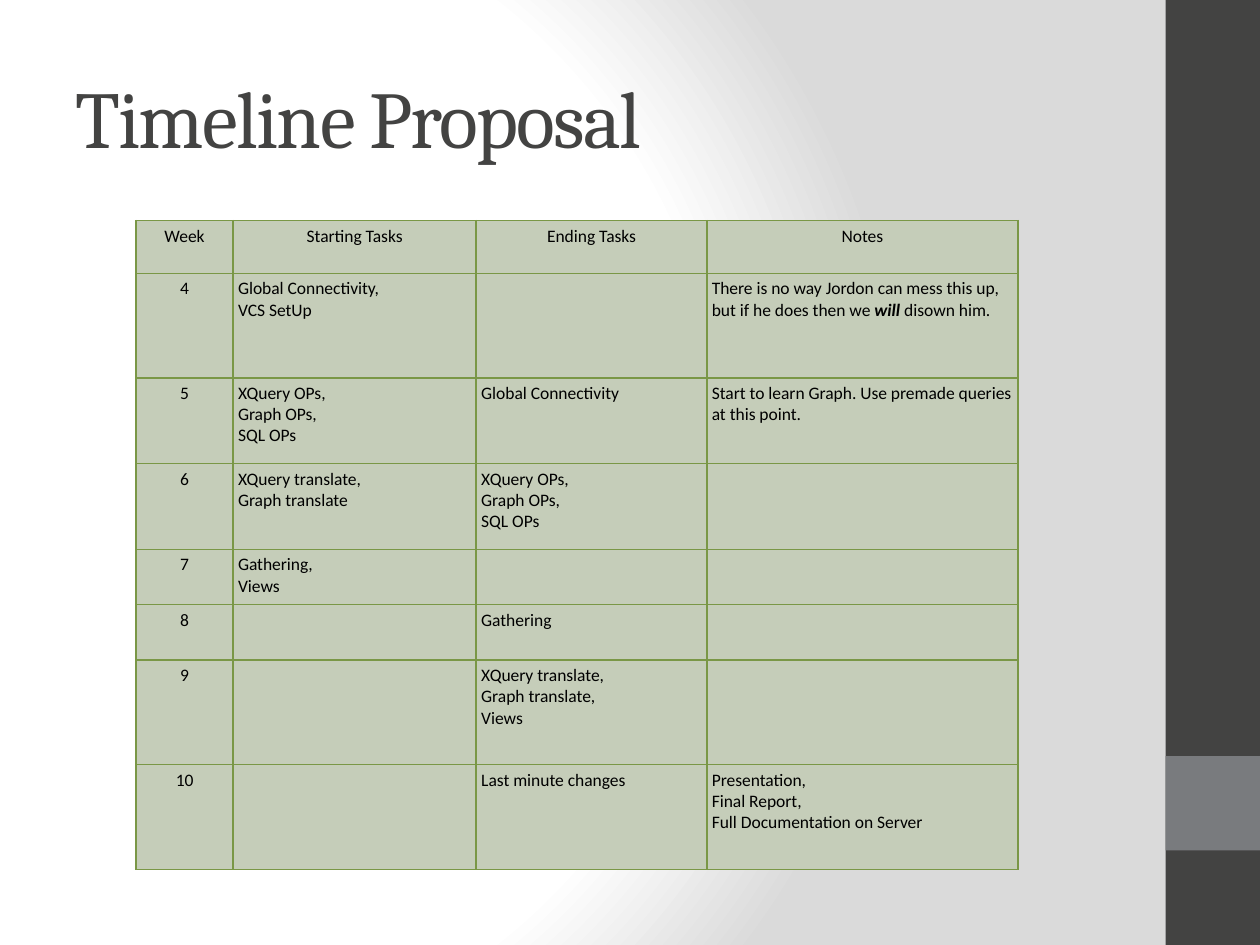
from pptx import Presentation
from pptx.dml.color import RGBColor
from pptx.enum.shapes import MSO_SHAPE
from pptx.enum.text import MSO_ANCHOR, PP_ALIGN
from pptx.oxml import parse_xml
from pptx.oxml.ns import nsdecls, qn
from pptx.util import Inches, Pt

DARK = RGBColor(0x43, 0x43, 0x42)
GREY = RGBColor(0x79, 0x7B, 0x7E)
BLACK = RGBColor(0x00, 0x00, 0x00)
WHITE = RGBColor(0xFF, 0xFF, 0xFF)
SILVER = RGBColor(0xDA, 0xDA, 0xDA)
CELL_FILL = RGBColor(0xC5, 0xCD, 0xB9)
BORDER = RGBColor(0x7A, 0x97, 0x46)

COLUMN_WIDTHS = [0.77, 1.93, 1.83, 2.47]
ROW_HEIGHTS = [0.42, 0.83, 0.68, 0.68, 0.44, 0.44, 0.83, 0.83]
OPERATIONS = "XQuery OPs,\nGraph OPs,\nSQL OPs"

# Each line of a cell is a paragraph; text between asterisks is emphasised.
TIMELINE = [
    ("Week", "Starting Tasks", "Ending Tasks", "Notes"),
    ("4", "Global Connectivity,\nVCS SetUp", "",
     "There is no way Jordon can mess this up, but if he does then we *will* disown him."),
    ("5", OPERATIONS, "Global Connectivity",
     "Start to learn Graph. Use premade queries at this point."),
    ("6", "XQuery translate,\nGraph translate", OPERATIONS, ""),
    ("7", "Gathering,\nViews", "", ""),
    ("8", "", "Gathering", ""),
    ("9", "", "XQuery translate,\nGraph translate,\nViews", ""),
    ("10", "", "Last minute changes",
     "Presentation,\nFinal Report,\nFull Documentation on Server"),
]


def write_text(frame, text, *, font, size, color, align=PP_ALIGN.LEFT):
    for index, line in enumerate(text.split("\n")):
        para = frame.paragraphs[0] if index == 0 else frame.add_paragraph()
        para.alignment = align
        for part, words in enumerate(line.split("*")):
            span = para.add_run()
            span.text = words
            span.font.name = font
            span.font.size = Pt(size)
            span.font.color.rgb = color
            span.font.bold = span.font.italic = part % 2 == 1


def paint_background(slide):
    slide.background.fill.gradient()
    stops = "".join(
        f'<a:gs pos="{percent * 1000}"><a:srgbClr val="{color}"/></a:gs>'
        for percent, color in [(0, WHITE), (75, WHITE), (100, SILVER)])
    gradient = parse_xml(
        f'<a:gradFill {nsdecls("a")} rotWithShape="1"><a:gsLst>{stops}</a:gsLst>'
        '<a:path path="circle"><a:fillToRect l="20000" t="50000" r="100000" b="50000"/>'
        '</a:path></a:gradFill>')
    current = next(slide.element.iter(qn("a:gradFill")))
    current.getparent().replace(current, gradient)


def add_band(slide, top, height, color):
    """Add a block of the strip along the right edge."""
    band = slide.shapes.add_shape(
        MSO_SHAPE.RECTANGLE, Inches(9.25), Inches(top), Inches(0.75), Inches(height))
    band.shadow.inherit = False
    band.fill.solid()
    band.fill.fore_color.rgb = color
    band.line.fill.background()


def add_title(slide, text):
    box = slide.shapes.add_textbox(Inches(0.5), Inches(0.3), Inches(8.33), Inches(1.25))
    frame = box.text_frame
    frame.word_wrap = True
    frame.vertical_anchor = MSO_ANCHOR.MIDDLE
    write_text(frame, text, font="Cambria", size=46, color=DARK)
    for properties in box.element.iter(qn("a:rPr")):
        properties.set("spc", "-100")


def style_cell(cell):
    properties = cell._tc.get_or_add_tcPr()
    for side in ("lnL", "lnR", "lnT", "lnB"):
        properties.append(parse_xml(
            f'<a:{side} {nsdecls("a")} w="{Pt(1)}"><a:solidFill>'
            f'<a:srgbClr val="{BORDER}"/></a:solidFill></a:{side}>'))
    cell.fill.solid()
    cell.fill.fore_color.rgb = CELL_FILL
    cell.margin_left = cell.margin_right = Inches(0.04)
    cell.margin_top = cell.margin_bottom = Inches(0.04)


def add_timeline(slide):
    table = slide.shapes.add_table(
        len(ROW_HEIGHTS), len(COLUMN_WIDTHS), Inches(1.08), Inches(1.75),
        Inches(sum(COLUMN_WIDTHS)), Inches(sum(ROW_HEIGHTS))).table
    table.first_row = table.horz_banding = False
    for column, width in zip(table.columns, COLUMN_WIDTHS):
        column.width = Inches(width)
    for row, height in zip(table.rows, ROW_HEIGHTS):
        row.height = Inches(height)
    for row_index, texts in enumerate(TIMELINE):
        for column_index, text in enumerate(texts):
            cell = table.cell(row_index, column_index)
            style_cell(cell)
            if text:
                centred = row_index == 0 or column_index == 0
                write_text(cell.text_frame, text, font="Calibri", size=10, color=BLACK,
                           align=PP_ALIGN.CENTER if centred else PP_ALIGN.LEFT)


def main():
    deck = Presentation()
    deck.slide_width, deck.slide_height = Inches(10), Inches(7.5)
    slide = deck.slides.add_slide(deck.slide_layouts[6])
    paint_background(slide)
    add_band(slide, 0, 7.5, DARK)
    add_band(slide, 6, 0.75, GREY)
    add_title(slide, "Timeline Proposal")
    add_timeline(slide)
    deck.save("out.pptx")


if __name__ == "__main__":
    main()
